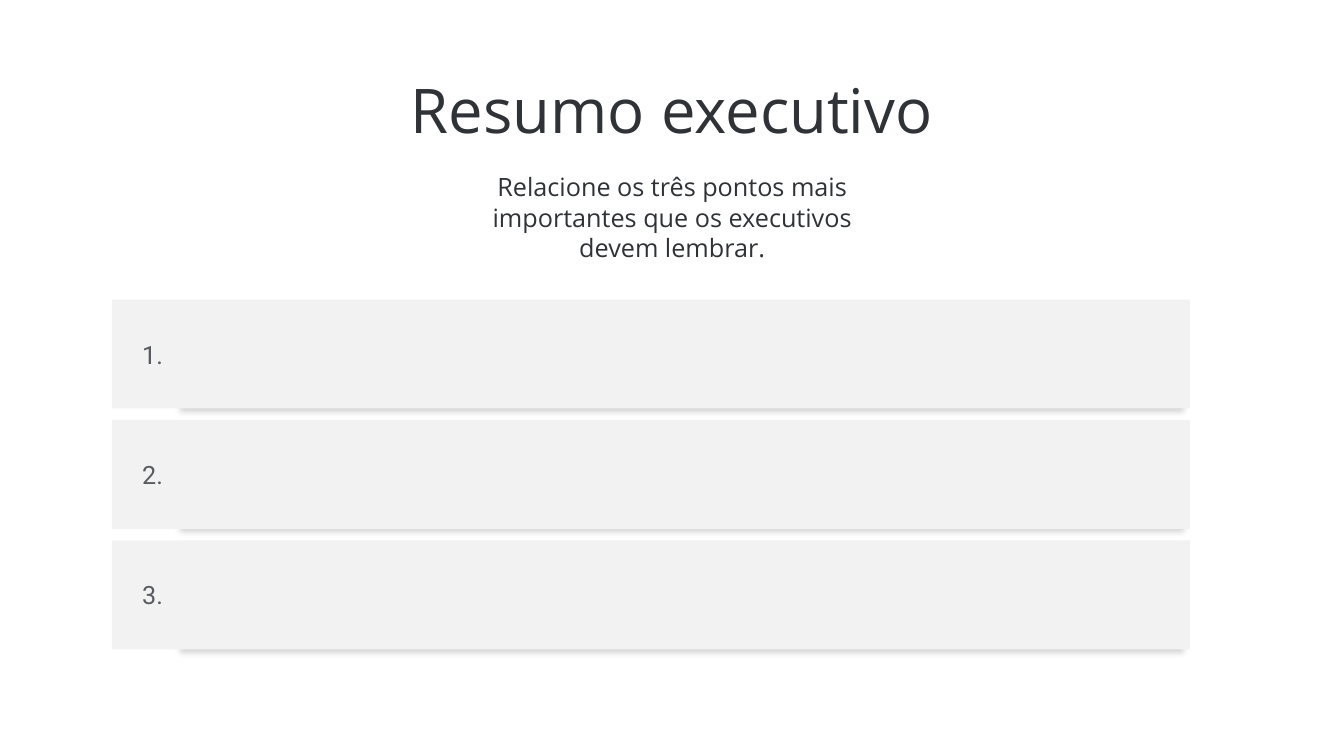
from lxml.etree import SubElement
from pptx import Presentation
from pptx.dml.color import RGBColor
from pptx.enum.shapes import MSO_SHAPE as Geo
from pptx.enum.text import MSO_ANCHOR as Anchor, PP_ALIGN as Align
from pptx.oxml.ns import qn
from pptx.util import Pt

INK, GREY, PALE = "2F3236", "585B5F", "F2F2F2"
HEAD, BODY = "Open Sans", "Roboto"


def hue(code):
    return RGBColor.from_string(code)


class Page:
    def __init__(self, deck):
        self.slide = deck.slides.add_slide(deck.slide_layouts[5])

    def label(self, shape, text, size, font, color, align, pad=(7.2, 3.6, 7.2, 3.6)):
        frame = shape.text_frame
        frame.word_wrap = True
        frame.vertical_anchor = Anchor.MIDDLE
        (frame.margin_left, frame.margin_top,
         frame.margin_right, frame.margin_bottom) = map(Pt, pad)
        para = frame.paragraphs[0]
        para.alignment = align
        run = para.add_run()
        run.text = text
        run.font.size, run.font.name = Pt(size), font
        run.font.color.rgb = hue(color)
        return para

    def title(self, text, *box):
        shape = self.slide.shapes.title
        shape.left, shape.top, shape.width, shape.height = map(Pt, box)
        self.label(shape, text, 44, HEAD, INK, Align.CENTER).line_spacing = 0.9

    def note(self, text, *box):
        shape = self.slide.shapes.add_textbox(*map(Pt, box))
        self.label(shape, text, 18, HEAD, INK, Align.CENTER)

    def bar(self, text, *box):
        shape = self.slide.shapes.add_shape(Geo.RECTANGLE, *map(Pt, box))
        shape.fill.solid()
        shape.fill.fore_color.rgb = hue(PALE)
        shape.line.fill.background()
        self.shade(shape)
        self.label(shape, text, 18, BODY, GREY, Align.LEFT, (21.6, 2.9, 0, 2.9))

    def shade(self, shape):
        """Add a soft shadow, narrower than the shape, down and to the left."""
        shape.shadow.inherit = False
        effects = shape.element.spPr.find(qn("a:effectLst"))
        shadow = SubElement(effects, qn("a:outerShdw"), blurRad=str(Pt(4)),
                            dist=str(Pt(7)), dir="8100000", sx="93000",
                            sy="96000", algn="tr", rotWithShape="0")
        color = SubElement(shadow, qn("a:srgbClr"), val="000000")
        SubElement(color, qn("a:alpha"), val="16000")


def main():
    deck = Presentation()
    deck.slide_width, deck.slide_height = Pt(960), Pt(540)
    page = Page(deck)
    page.title("Resumo executivo", 66, 28.8, 828, 104.4)
    for i in range(3):
        page.bar(f"{i + 1}.", 80, 214 + 86 * i, 770, 77.8)
    page.note("Relacione os três pontos mais importantes que os executivos devem lembrar.",
              319.7, 129.6, 321, 51)
    deck.save("out.pptx")


if __name__ == "__main__":
    main()
